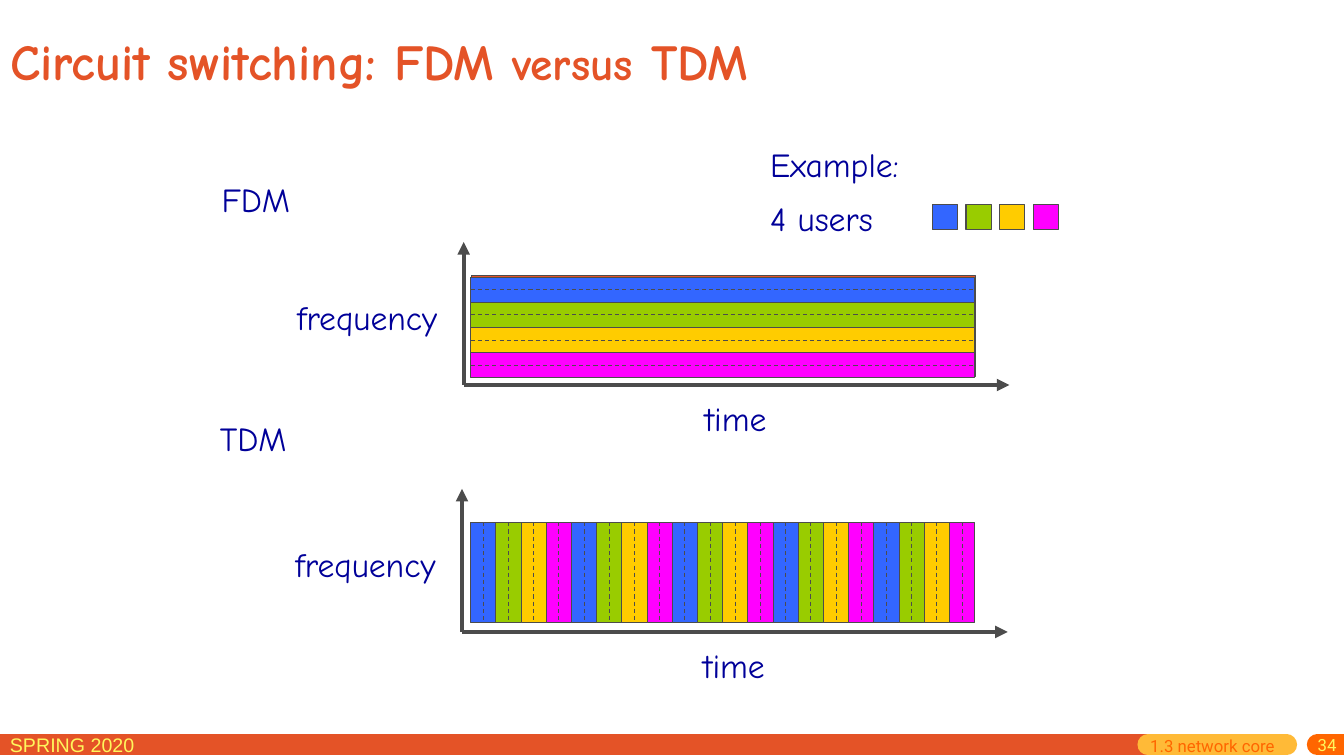
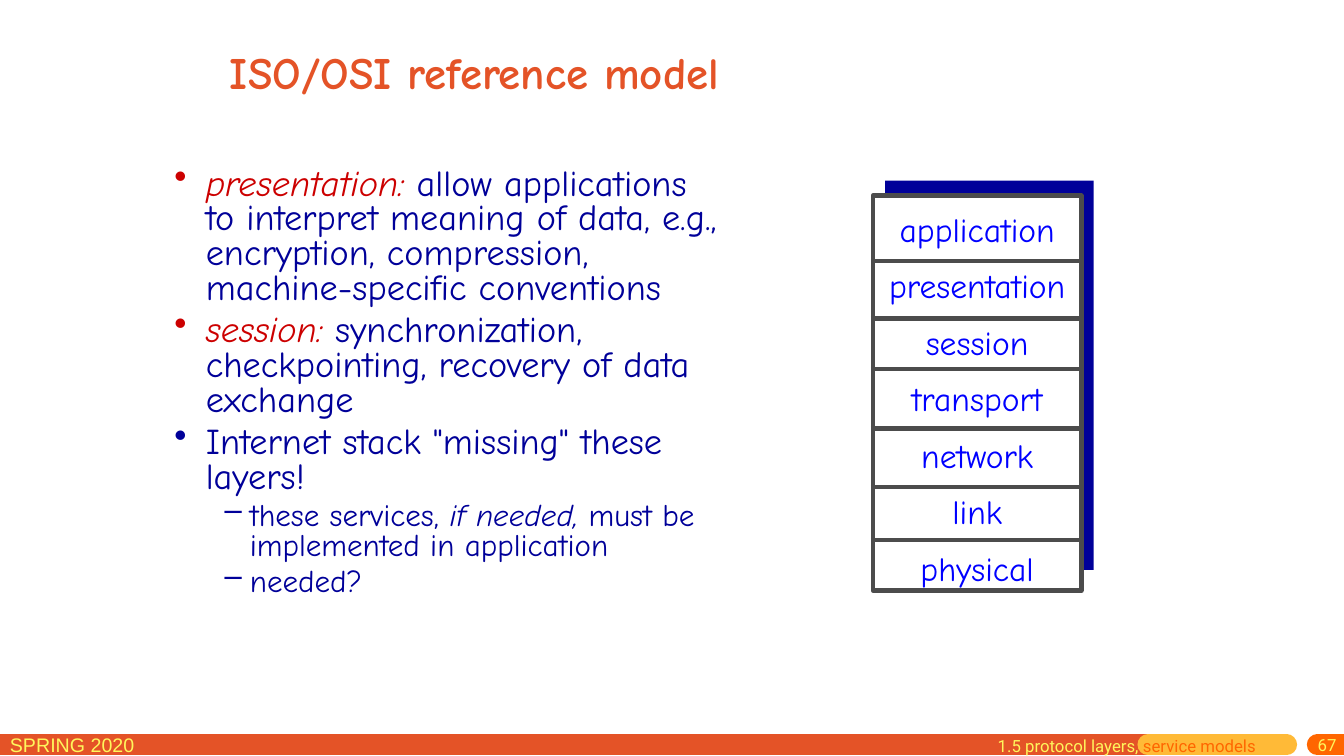
"""Build two lecture slides on circuit switching and the layer model."""
from dataclasses import dataclass

from pptx import Presentation
from pptx.dml.color import RGBColor
from pptx.enum.dml import MSO_LINE
from pptx.enum.shapes import MSO_CONNECTOR, MSO_SHAPE
from pptx.enum.text import MSO_ANCHOR, MSO_AUTO_SIZE, PP_ALIGN
from pptx.oxml.ns import qn
from pptx.oxml.xmlchemy import OxmlElement
from pptx.util import Pt


@dataclass(frozen=True)
class Theme:
    """Colours, fonts and type sizes."""
    orange: str = "E45327"
    amber: str = "FFBA37"
    bright: str = "FF6600"
    lemon: str = "FFF65C"
    navy: str = "000099"
    blue: str = "0000FF"
    red: str = "CC0000"
    gray: str = "4C4C4C"
    white: str = "FFFFFF"
    users: tuple = ("3366FF", "99CC00", "FFCC00", "FF00FF")
    hand: str = "Comic Neue"
    plain: str = "Arial"
    foot: str = "Roboto"
    large: float = 36
    title: float = 32
    minor: float = 32.4
    body: tuple = (25.9, 22.2)
    label: float = 24
    term: float = 14
    small: float = 12
    thin: float = 0.75
    thick: float = 3
    band: float = 15


T = Theme()

TERM = "SPRING 2020"
BANDS = [(-13, 820, T.orange), (820, 919, T.amber), (941, 979, T.bright)]
BAND_Y = 532

SWITCH = {
    "title": [("Circuit switching: FDM ", T.large), ("versus", T.minor),
              (" TDM", T.large)],
    "place": (0, 5.8, 667, 75),
    "number": "34",
    "section": [("1.3 network core", T.bright)],
    "foot": 814.5,
}
MODEL = {
    "title": [("ISO/OSI reference model", T.title)],
    "place": (157, 5.8, 512, 90),
    "number": "67",
    "section": [("1.5 protocol layers, ", T.lemon),
                ("service models", T.bright)],
    "foot": 705.6,
}
PLOTS = [
    {"name": "FDM", "name_y": 124.5, "x": 331.2, "y": 275,
     "top": 198, "count": 4, "stack": True},
    {"name": "TDM", "name_y": 295.2, "x": 330, "y": 451.4,
     "top": 373, "count": 20, "stack": False},
]
GRID_X, GRID_W, GRID_H = 336.2, 360, 72
EXAMPLE = [("Example:", 99.5), ("4 users", 138.2)]
POINTS = [
    (0, [("presentation:", T.red, True),
         (" allow applications to interpret meaning of data, e.g., "
          "encryption, compression, machine-specific conventions",
          T.navy, False)]),
    (0, [("session:", T.red, True),
         (" synchronization, checkpointing, recovery of data exchange",
          T.navy, False)]),
    (0, [("Internet stack \"missing\" these layers!", T.navy, False)]),
    (1, [("these services, ", T.navy, False), ("if needed,", T.navy, True),
         (" must be implemented in application", T.navy, False)]),
    (1, [("needed?", T.navy, False)]),
]
BULLETS = [("•", 22.5, -22.5), ("–", 54, -18)]
LAYERS = ["application", "presentation", "session", "transport",
          "network", "link", "physical"]
RULES = [186.5, 227.5, 263.5, 306, 347.8, 385.9]


def color(code):
    """Turn a hex code into a colour."""
    return RGBColor.from_string(code)


def style(run, size, code, face=T.hand, bold=False, slant=False):
    """Format one run."""
    font = run.font
    font.name, font.size = face, Pt(size)
    font.bold, font.italic = bold, slant
    font.color.rgb = color(code)


def add_run(par, text, *look, **more):
    """Append a formatted run to a paragraph."""
    run = par.add_run()
    run.text = text
    style(run, *look, **more)


def add_box(slide, left, top, width, height, anchor=MSO_ANCHOR.TOP):
    """Add a wrapping text box and return its frame."""
    box = slide.shapes.add_textbox(Pt(left), Pt(top), Pt(width), Pt(height))
    frame = box.text_frame
    frame.word_wrap = True
    frame.vertical_anchor = anchor
    return frame


def add_label(slide, text, left, top, width, size=T.label, code=T.navy,
              face=T.hand):
    """Add a one-line label."""
    frame = add_box(slide, left, top, width, 36)
    frame.text = text
    style(frame.paragraphs[0].runs[0], size, code, face)


def add_rect(slide, left, top, width, height, code, edge=T.thin):
    """Add a filled rectangle, outlined if it has an edge."""
    rect = slide.shapes.add_shape(MSO_SHAPE.RECTANGLE, Pt(left), Pt(top),
                                  Pt(width), Pt(height))
    rect.shadow.inherit = False
    rect.fill.solid()
    rect.fill.fore_color.rgb = color(code)
    if edge:
        rect.line.color.rgb = color(T.gray)
        rect.line.width = Pt(edge)
    else:
        rect.line.fill.background()
    return rect


def add_line(slide, start, end, code=T.gray, width=T.thick, arrow=False,
             cap=None):
    """Add a straight line, with an arrowhead or round caps on request."""
    line = slide.shapes.add_connector(MSO_CONNECTOR.STRAIGHT,
                                      *map(Pt, start + end))
    line.line.color.rgb = color(code)
    line.line.width = Pt(width)
    props = line.element.spPr
    pen = props.find(qn("a:ln"))
    if cap:
        pen.set("cap", cap)
    if arrow:
        head = OxmlElement("a:tailEnd")
        head.set("type", "triangle")
        pen.append(head)
    props.append(OxmlElement("a:effectLst"))
    return line


def share_frame(slide, layout):
    """Draw the bottom bands and the term on the shared layout."""
    old = len(slide.shapes)
    for left, right, code in BANDS:
        add_line(slide, (left, BAND_Y), (right, BAND_Y), code, T.band,
                 cap="rnd")
    add_label(slide, TERM, 0, 519.8, 165, T.term, T.lemon, T.plain)
    for item in list(slide.shapes)[old:]:
        layout.shapes.element.append(item.element)


def set_head(slide, data):
    """Fill the title, the section label and the slide number."""
    title = slide.shapes.title
    title.left, title.top, title.width, title.height = map(Pt, data["place"])
    frame = title.text_frame
    frame.auto_size = MSO_AUTO_SIZE.NONE
    frame.vertical_anchor = MSO_ANCHOR.MIDDLE
    par = frame.paragraphs[0]
    par.alignment = PP_ALIGN.LEFT
    for text, size in data["title"]:
        add_run(par, text, size, T.orange, bold=True)

    frame = add_box(slide, data["foot"], 525, 210, 15, MSO_ANCHOR.MIDDLE)
    if data["foot"] + 210 > 960:
        frame.word_wrap = False
    for text, code in data["section"]:
        add_run(frame.paragraphs[0], text, T.small, code, T.foot)

    frame = add_box(slide, 933.8, 525, 28, 17.3, MSO_ANCHOR.MIDDLE)
    frame.margin_left = frame.margin_top = 0
    frame.text = data["number"]
    par = frame.paragraphs[0]
    par.alignment = PP_ALIGN.RIGHT
    style(par.runs[0], T.small, T.lemon, T.foot)


def draw_plot(slide, plot):
    """Draw axes, labels and the coloured slots of one plot."""
    left, base, stack = plot["x"], plot["y"], plot["stack"]
    add_label(slide, plot["name"], left - 180, plot["name_y"], 70)
    add_label(slide, "frequency", left - 126, base - 66.2, 128)
    add_label(slide, "time", left + 165, base + 5.8, 65)
    for end in ((left, base - 102.2), (left + 389.8, base)):
        add_line(slide, (left, base), end, arrow=True)

    count = plot["count"]
    wide = GRID_W if stack else GRID_W / count
    high = GRID_H / count if stack else GRID_H
    sides = (1, 3) if stack else (0, 2)
    slots = []
    for i in range(count):
        x = GRID_X + (0 if stack else i * wide)
        y = plot["top"] + (i * high if stack else 0)
        slots.append(add_rect(slide, x, y, wide, high,
                              T.users[i % len(T.users)]))
    for slot in slots:
        line = add_line(slide, (0, 0), (0, 0), width=T.thin)
        line.begin_connect(slot, sides[0])
        line.end_connect(slot, sides[1])
        line.line.dash_style = MSO_LINE.DASH


def draw_switch(slide):
    """Draw both plots and the legend of users."""
    add_rect(slide, GRID_X + 0.7, PLOTS[0]["top"] - 1, GRID_W, GRID_H,
             T.orange)
    for plot in PLOTS:
        draw_plot(slide, plot)
    for text, top in EXAMPLE:
        add_label(slide, text, 543, top, 115)
    for i, code in enumerate(T.users):
        add_rect(slide, 666 + i * 24, 146, 18, 18, code)


def draw_points(slide):
    """Write the bullet list."""
    frame = add_box(slide, 117.4, 116.6, 406, 366)
    for i, (level, runs) in enumerate(POINTS):
        par = frame.add_paragraph() if i else frame.paragraphs[0]
        mark, margin, indent = BULLETS[level]
        props = par._p.get_or_add_pPr()
        props.set("marL", str(Pt(margin)))
        props.set("indent", str(Pt(indent)))
        sign = OxmlElement("a:buChar")
        sign.set("char", mark)
        props.append(sign)
        par.level = level
        par.line_spacing = 0.8
        size = T.body[level]
        par.space_before = Pt(round(size / 5, 1) if i else 0)
        for text, code, slant in runs:
            add_run(par, text, size, code, slant=slant)


def draw_stack(slide):
    """Draw the stack of layers."""
    add_rect(slide, 632.2, 129, 149, 278, T.navy, 0)
    add_rect(slide, 623.5, 139.7, 149, 282.2, T.white, T.thick)
    frame = add_box(slide, 620, 153.4, 156, 272)
    frame.text = "\n".join(LAYERS)
    for i, par in enumerate(frame.paragraphs):
        par.alignment = PP_ALIGN.CENTER
        par.line_spacing = 0.7
        par.space_before = Pt(20.2 if i else 0)
        style(par.runs[0], T.label, T.blue)
    for y in RULES:
        add_line(slide, (622, y), (770.4, y))


def main():
    """Build and save the deck."""
    deck = Presentation()
    deck.slide_width, deck.slide_height = Pt(960), Pt(540)
    layout = deck.slide_layouts[5]
    first, second = (deck.slides.add_slide(layout) for _ in range(2))
    share_frame(first, layout)
    set_head(first, SWITCH)
    draw_switch(first)
    set_head(second, MODEL)
    draw_points(second)
    draw_stack(second)
    deck.save("out.pptx")


if __name__ == "__main__":
    main()
